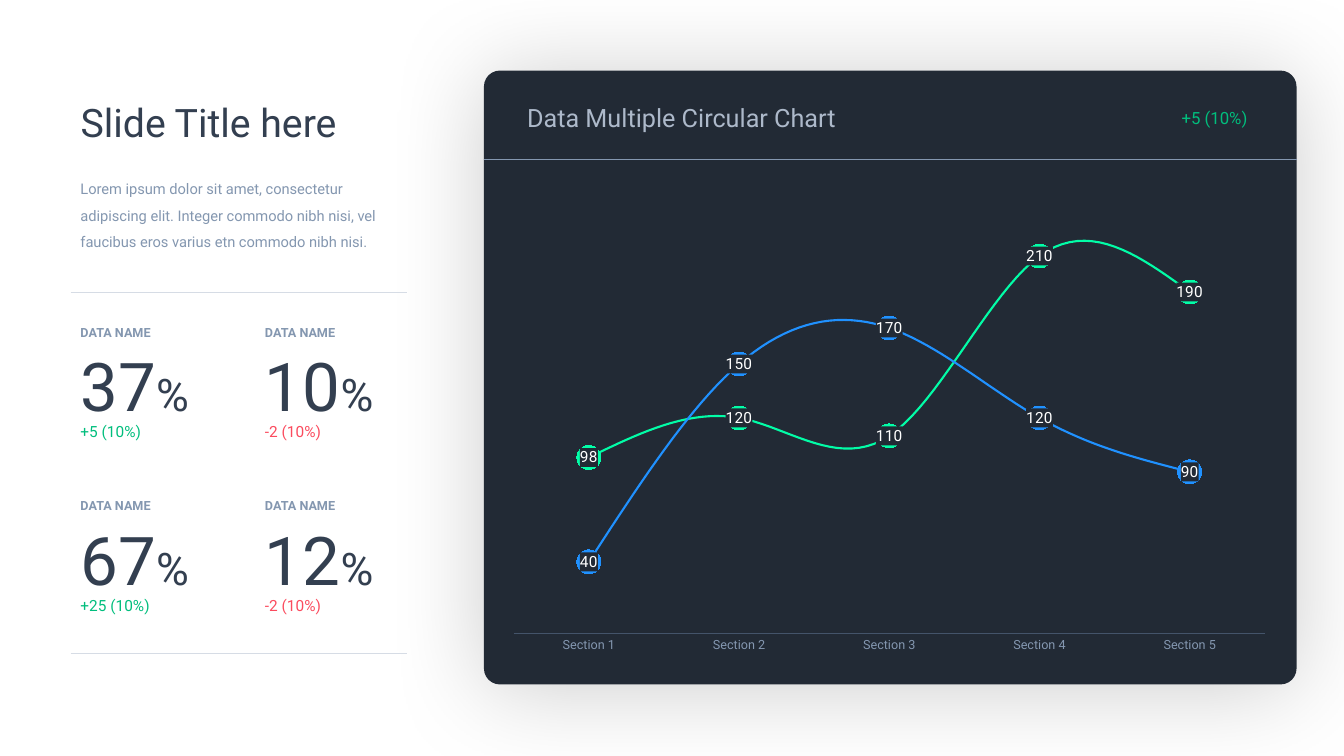
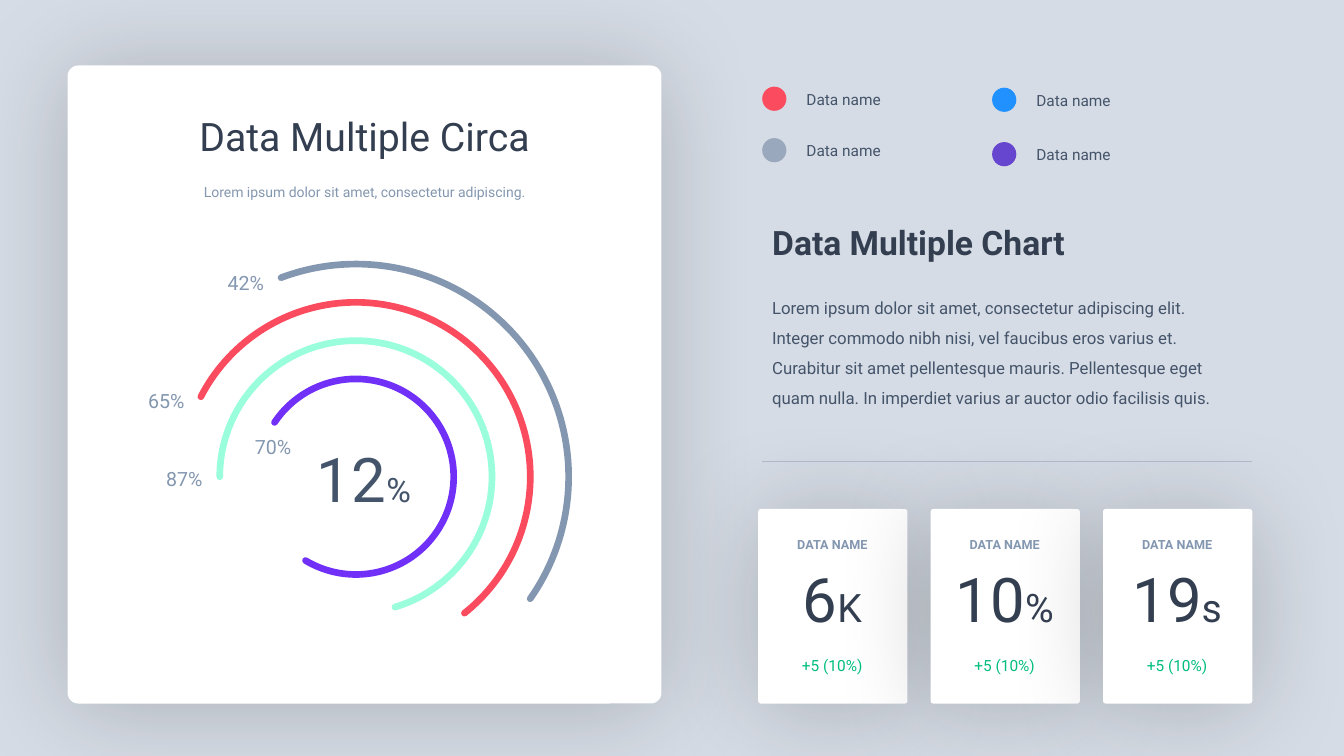
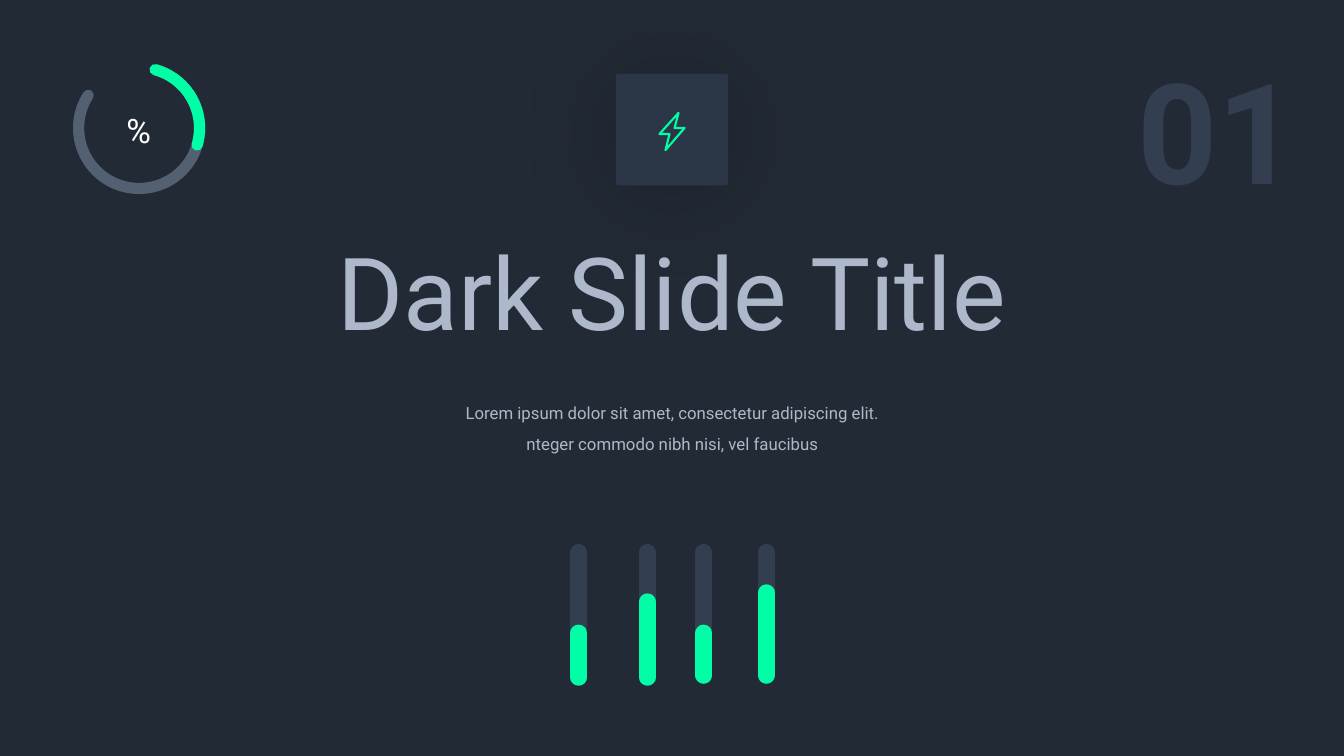
import pptx
import pptx.util
import pptx.chart.data
import pptx.dml.color
import pptx.enum.chart
import pptx.enum.shapes
import pptx.enum.text
import pptx.oxml
import pptx.oxml.ns

# ---- Shared look ----
FONT = "Roboto"
C = dict(white="FFFFFF", night="222A35", tile="2B3646", ink="333F50", slate="44546A",
         steel="8497B0", mist="ADB9CA", pale="D6DCE5", grey="99A8BD", black="000000",
         red="FB4B5E", blue="2091FF", violet="6645CF", purple="7030F8",
         mint="9AFEDC", neon="02FDA7", green="01BE7D")
WIDE, TALL = 13.33, 7.5
SHAPE = pptx.enum.shapes.MSO_SHAPE
ALIGN = pptx.enum.text.PP_ALIGN
LEFT, CENTER, RIGHT = ALIGN.LEFT, ALIGN.CENTER, ALIGN.RIGHT
NS = pptx.oxml.ns.nsdecls("a")

# ---- Content: trend slide ----
TREND = dict(
    title="Slide Title here",
    intro="Lorem ipsum dolor sit amet, consectetur adipiscing elit. Integer commodo "
          "nibh nisi, vel faucibus eros varius etn commodo nibh nisi.",
    heading="Data Multiple Circular Chart", change="+5 (10%)",
    sections=[f"Section {n}" for n in range(1, 6)],
    series=[("Series 1", (98, 120, 110, 210, 190), "neon"),
            ("Series 2", (40, 150, 170, 120, 90), "blue")],
    metrics=[[("37", "%", "+5 (10%)"), ("10", "%", "-2 (10%)")],
             [("67", "%", "+25 (10%)"), ("12", "%", "-2 (10%)")]])

# ---- Content: ring slide ----
RINGS = dict(
    title="Data Multiple Circa",
    intro="Lorem ipsum dolor sit amet, consectetur adipiscing.",
    # diameter, start and end angle, colour, label, label right edge and top
    arcs=[(4.22, 249.4, 35, "steel", "42%", 2.62, 2.64),
          (3.46, 207.3, 51.5, "red", "65%", 1.83, 3.81),
          (2.70, 180, 73.3, "mint", "87%", 2.01, 4.58),
          (1.94, 213.7, 121, "purple", "70%", 2.89, 4.27)],
    legend=[(7.56, 0.86, "red"), (9.84, 0.87, "blue"),
            (7.56, 1.37, "grey"), (9.84, 1.41, "violet")],
    heading="Data Multiple Chart",
    story="Lorem ipsum dolor sit amet, consectetur adipiscing elit. Integer commodo nibh "
          "nisi, vel faucibus eros varius et. Curabitur sit amet pellentesque mauris. "
          "Pellentesque eget quam nulla. In imperdiet varius ar auctor odio facilisis quis.",
    cards=[("6", "K", "+5 (10%)"), ("10", "%", "+5 (10%)"), ("19", "s", "+5 (10%)")])

# ---- Content: dark slide ----
DARK = dict(
    title="Dark Slide Title", number="01",
    story=["Lorem ipsum dolor sit amet, consectetur adipiscing elit.",
           "nteger commodo nibh nisi, vel faucibus"],
    # centre, bottom and level of each bar
    bars=[(5.74, 6.72, 6.28), (6.42, 6.72, 5.97), (6.98, 6.70, 6.28), (7.6, 6.70, 5.88)],
    bolt=[(6.73, 1.12), (6.69, 1.27), (6.79, 1.27), (6.60, 1.49), (6.64, 1.33), (6.54, 1.33)])


def rgb(name):
    return pptx.dml.color.RGBColor.from_string(C[name])


def inches(*lengths):
    return [pptx.util.Inches(v) for v in lengths]


def new_slide(deck, background):
    slide = deck.slides.add_slide(deck.slide_layouts[5])
    slide.background.fill.solid()
    slide.background.fill.fore_color.rgb = rgb(background)
    return slide


def write(box, paragraphs, size, color, align=LEFT, bold=False, spacing=None,
          inset=0.1, wrap=True):
    """Each paragraph is a string or a list of (text, size) runs."""
    frame = box.text_frame
    frame.word_wrap = wrap
    frame.auto_size = pptx.enum.text.MSO_AUTO_SIZE.SHAPE_TO_FIT_TEXT
    frame.vertical_anchor = pptx.enum.text.MSO_ANCHOR.TOP
    frame.margin_left = frame.margin_right = pptx.util.Inches(inset)
    for i, runs in enumerate(paragraphs):
        para = frame.paragraphs[0] if i == 0 else frame.add_paragraph()
        para.alignment = align
        if spacing:
            para.line_spacing = spacing
        for words, points in ([(runs, size)] if isinstance(runs, str) else runs):
            run = para.add_run()
            run.text = words
            run.font.name, run.font.size = FONT, pptx.util.Pt(points)
            run.font.bold, run.font.color.rgb = bold, rgb(color)


def text(slide, place, paragraphs, size, color, **style):
    write(slide.shapes.add_textbox(*inches(*place)), paragraphs, size, color, **style)


def title(slide, place, words, size, color, align=LEFT):
    head = slide.shapes.title
    slide.shapes._spTree.append(head._element)  # in front of what is drawn so far
    head.left, head.top, head.width, head.height = inches(*place)
    write(head, [words], size, color, align=align)


def solid(slide, kind, place, color):
    shape = slide.shapes.add_shape(kind, *inches(*place))
    shape.shadow.inherit = False
    shape.fill.solid()
    shape.fill.fore_color.rgb = rgb(color)
    shape.line.fill.background()
    return shape


def panel(slide, place, color, corner):
    """Rounded card with a wide soft shadow."""
    card = solid(slide, SHAPE.ROUNDED_RECTANGLE, place, color)
    card.adjustments[0] = corner
    glow = pptx.oxml.parse_xml(
        f'<a:outerShdw {NS} blurRad="{pptx.util.Pt(71)}" dist="{pptx.util.Pt(3)}" '
        f'dir="5400000" algn="t" rotWithShape="0"><a:srgbClr val="{C["black"]}">'
        '<a:alpha val="20000"/></a:srgbClr></a:outerShdw>')
    card._element.spPr.find(pptx.oxml.ns.qn("a:effectLst")).append(glow)


def stroke(shape, color, width, rounded=False, opacity=None):
    shape.line.color.rgb = rgb(color)
    shape.line.width = pptx.util.Pt(width)
    ln = shape.line._get_or_add_ln()
    if rounded:
        ln.set("cap", "rnd")
        ln.append(pptx.oxml.parse_xml(f"<a:round {NS}/>"))
    if opacity:
        tint = ln.find(".//" + pptx.oxml.ns.qn("a:srgbClr"))
        tint.append(pptx.oxml.parse_xml(f'<a:alpha {NS} val="{opacity * 1000}"/>'))


def rule(slide, x1, y1, x2, y2, color, width=0.5, rounded=False):
    line = slide.shapes.add_connector(pptx.enum.shapes.MSO_CONNECTOR.STRAIGHT,
                                      *inches(x1, y1, x2, y2))
    stroke(line, color, width, rounded)
    line._element.spPr.append(pptx.oxml.parse_xml(f"<a:effectLst {NS}/>"))


def ring(slide, cx, cy, diameter, start, end, color, width, opacity=None):
    arc = slide.shapes.add_shape(SHAPE.ARC, *inches(
        cx - diameter / 2, cy - diameter / 2, diameter, diameter))
    arc.shadow.inherit = False
    arc.fill.background()
    arc.adjustments[0], arc.adjustments[1] = start * 0.6, end * 0.6
    stroke(arc, color, width, True, opacity)


def metric(slide, x, y, figure, sizes, drops, align=LEFT):
    """Caption, large number with unit, and change below it."""
    number, unit, change = figure
    big, small = sizes
    value_drop, change_drop = drops
    trend = "red" if change.startswith("-") else "green"
    text(slide, (x, y, 1.47, 0.3), ["DATA NAME"], 9, "steel",
         align=align, bold=True, spacing=1.5)
    text(slide, (x, y + value_drop, 1.47, 0.9), [[(number, big), (unit, small)]],
         big, "ink", align=align)
    text(slide, (x, y + change_drop, 1.47, 0.29), [change], 11, trend, align=align)


def line_chart(slide, place):
    data = pptx.chart.data.CategoryChartData()
    data.categories = TREND["sections"]
    for name, values, _ in TREND["series"]:
        data.add_series(name, values)
    enums = pptx.enum.chart
    chart = slide.shapes.add_chart(enums.XL_CHART_TYPE.LINE_MARKERS,
                                   *inches(*place), data).chart
    chart.has_legend = chart.has_title = False
    chart.font.name, chart.font.size = FONT, pptx.util.Pt(10)
    chart.plots[0].vary_by_categories = False

    values_axis, sections_axis = chart.value_axis, chart.category_axis
    values_axis.visible = values_axis.has_major_gridlines = False
    values_axis.minimum_scale, values_axis.maximum_scale = 0, 250
    sections_axis.major_tick_mark = enums.XL_TICK_MARK.NONE
    sections_axis.format.line.color.rgb = rgb("slate")
    sections_axis.format.line.width = pptx.util.Pt(0.75)
    names = sections_axis.tick_labels.font
    names.name, names.size, names.color.rgb = FONT, pptx.util.Pt(9), rgb("steel")

    for series, (_, _, color) in zip(chart.plots[0].series, TREND["series"]):
        series.smooth = True
        series.format.line.color.rgb = rgb(color)
        series.format.line.width = pptx.util.Pt(1.5)
        marker = series.marker
        marker.style, marker.size = enums.XL_MARKER_STYLE.CIRCLE, 17
        marker.format.fill.solid()
        marker.format.fill.fore_color.rgb = rgb("night")
        marker.format.line.color.rgb = rgb(color)
        labels = series.data_labels
        labels.show_value = True
        labels.position = enums.XL_LABEL_POSITION.CENTER
        labels.font.name, labels.font.size = FONT, pptx.util.Pt(11)
        labels.font.color.rgb = rgb("white")
        # dark plate behind each value
        plate = pptx.oxml.parse_xml(
            f'<c:spPr {pptx.oxml.ns.nsdecls("c", "a")}><a:solidFill>'
            f'<a:srgbClr val="{C["night"]}"/></a:solidFill></c:spPr>')
        labels._element.find(pptx.oxml.ns.qn("c:txPr")).addprevious(plate)


def trend_slide(deck):
    slide = new_slide(deck, "white")
    left, top, width = 4.8, 0.7, 8.06
    panel(slide, (left, top, width, 6.09), "night", 0.026)
    line_chart(slide, (4.94, 1.73, 7.76, 4.84))
    text(slide, (5.13, 0.97, 6.4, 0.4), [TREND["heading"]], 18, "mist")
    text(slide, (11.62, 1.02, 0.95, 0.3), [TREND["change"]], 12, "green")
    rule(slide, left, 1.58, left + width, 1.58, "steel")

    margin, column = 0.7, 3.34
    title(slide, (margin, 0.93, 3.75, 0.57), TREND["title"], 28, "ink")
    text(slide, (margin, 1.65, column, 0.87), [TREND["intro"]], 10.5, "steel", spacing=1.5)
    for y in (2.9, 6.48):
        rule(slide, margin, y, margin + column, y, "pale")
    for r, row in enumerate(TREND["metrics"]):
        for c, figure in enumerate(row):
            metric(slide, margin + 1.83 * c, 3.1 + 1.72 * r, figure, (48, 32), (0.27, 1.04))


def ring_slide(deck):
    slide = new_slide(deck, "pale")
    # Metric cards lie behind the main panel
    card_xs = [7.52 + 1.71 * i for i in range(len(RINGS["cards"]))]
    for x in card_xs:
        panel(slide, (x, 5.05, 1.48, 1.93), "white", 0.018)
    panel(slide, (0.67, 0.65, 5.89, 6.33), "white", 0.018)
    for x, figure in zip(card_xs, RINGS["cards"]):
        metric(slide, x, 5.2, figure, (44, 28), (0.32, 1.26), CENTER)

    # Rings
    cx, cy = 3.53, 4.73
    for diameter, start, end, color, share, right, y in RINGS["arcs"]:
        ring(slide, cx, cy, diameter, start, end, color, 4.75)
        text(slide, (right - 0.6, y, 0.6, 0.34), [share], 14, "steel", align=RIGHT, inset=0)
    text(slide, (2.73, 4.33, 1.76, 0.84), [[("12", 44), ("%", 24)]], 44, "slate",
         align=CENTER, inset=0)
    title(slide, (0.98, 1.06, 5.27, 0.57), RINGS["title"], 28, "ink", CENTER)
    text(slide, (0.67, 1.69, 5.89, 0.32), [RINGS["intro"]], 10, "steel",
         align=CENTER, spacing=1.5)

    # Legend and story
    for x, y, color in RINGS["legend"]:
        solid(slide, SHAPE.OVAL, (x, y, 0.24, 0.24), color)
        text(slide, (x + 0.34, y - 0.02, 0.94, 0.29), ["Data name"], 11, "slate", wrap=False)
    text(slide, (7.56, 2.15, 5.02, 0.5), [RINGS["heading"]], 24, "ink", bold=True)
    text(slide, (7.56, 2.8, 4.86, 1.28), [RINGS["story"]], 12, "slate", spacing=1.5)
    rule(slide, 7.56, 4.58, 12.42, 4.58, "mist")


def dark_slide(deck):
    slide = new_slide(deck, "night")
    # Tile with lightning bolt
    panel(slide, (6.11, 0.73, 1.11, 1.11), "tile", 0.021)
    corners = [inches(*point) for point in DARK["bolt"]]
    outline = slide.shapes.build_freeform(*corners[0])
    outline.add_line_segments(corners[1:], close=True)
    bolt = outline.convert_to_shape()
    bolt.shadow.inherit = False
    bolt.fill.background()
    stroke(bolt, "neon", 1.5, True)

    # Gauge and slide number
    ring(slide, 1.38, 1.27, 1.2, 285.3, 212.8, "steel", 8, 49)
    ring(slide, 1.38, 1.27, 1.2, 285.3, 16.4, "neon", 8)
    text(slide, (0.82, 1.04, 1.11, 0.5), ["%"], 24, "white", align=CENTER)
    text(slide, (11.18, 0.39, 1.9, 1.7), [DARK["number"]], 100, "ink", bold=True)

    title(slide, (0, 2.23, WIDE, 1.31), DARK["title"], 72, "mist", CENTER)
    text(slide, (3.95, 3.85, 5.44, 0.67), DARK["story"], 12, "mist",
         align=CENTER, spacing=1.5)

    # Level bars
    for x, bottom, level in DARK["bars"]:
        for top, color in ((5.48, "ink"), (level, "neon")):
            rule(slide, x, bottom, x, top, color, 12, True)


def main():
    deck = pptx.Presentation()
    deck.slide_width, deck.slide_height = inches(WIDE, TALL)
    for build in (trend_slide, ring_slide, dark_slide):
        build(deck)
    deck.save("out.pptx")


if __name__ == "__main__":
    main()
